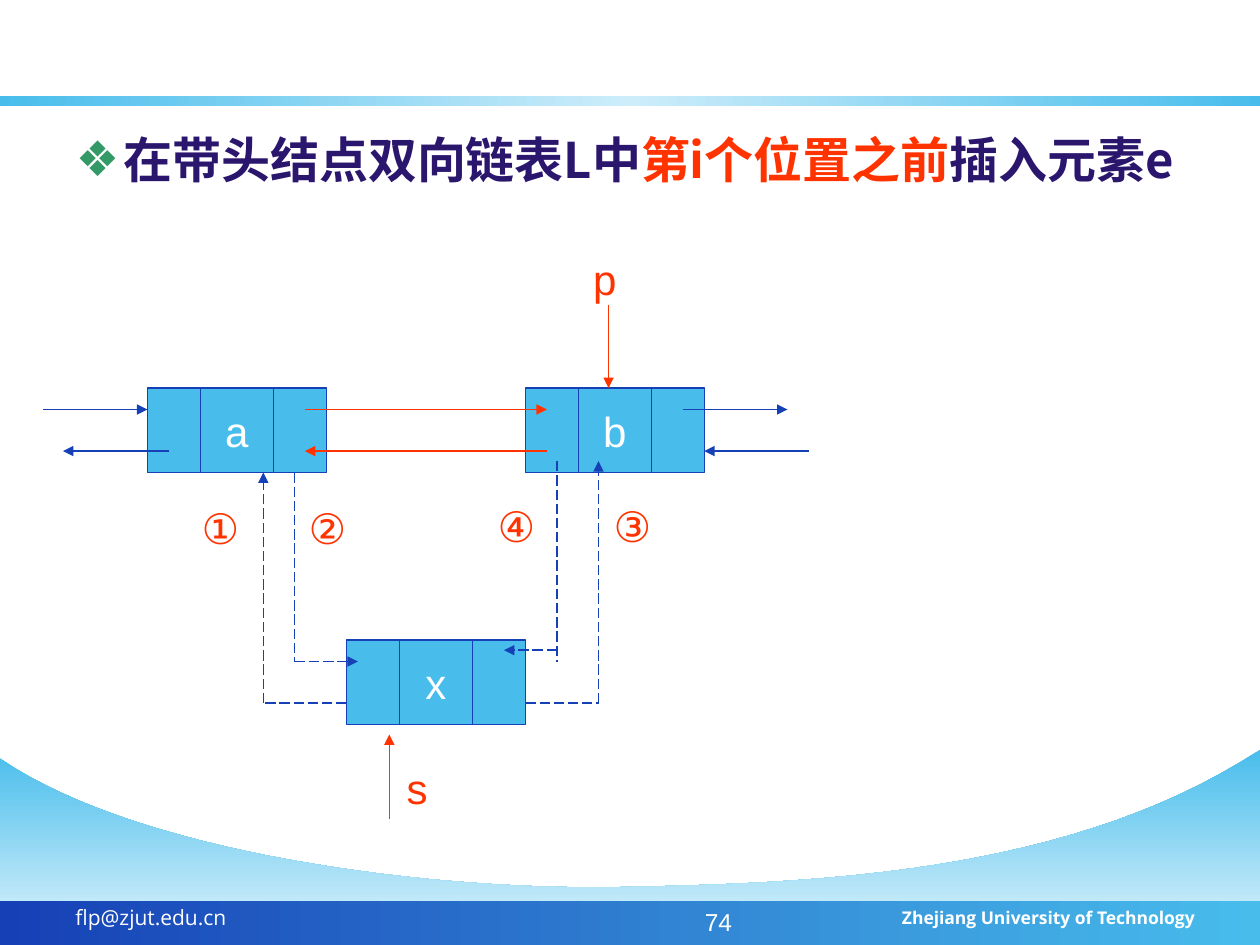
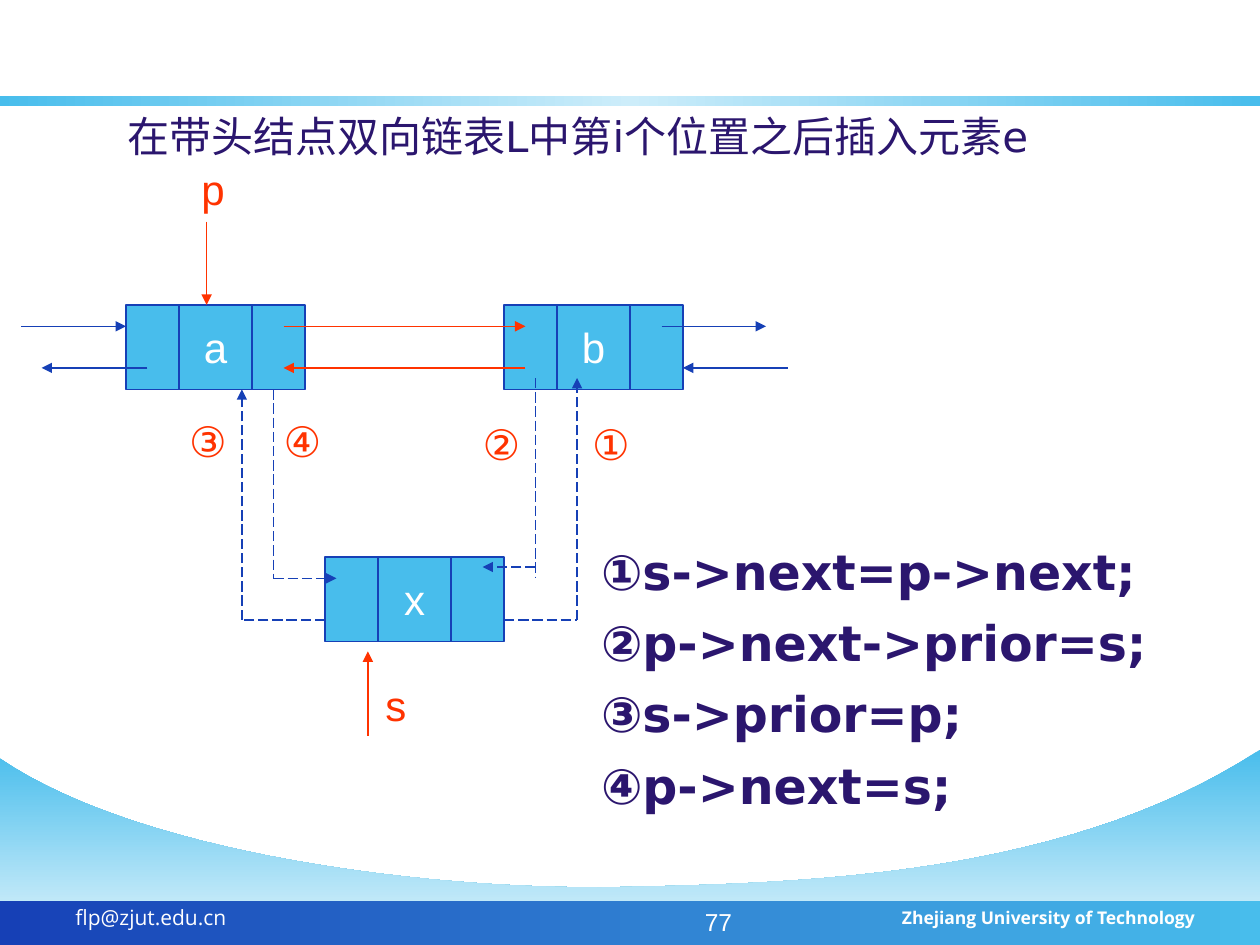
from dataclasses import dataclass
from typing import Any, NamedTuple

from lxml.etree import SubElement
from pptx import Presentation
from pptx.dml.color import RGBColor
from pptx.enum.dml import MSO_LINE
from pptx.enum.shapes import MSO_CONNECTOR as Link, MSO_SHAPE as Preset
from pptx.enum.text import MSO_ANCHOR as Anchor, MSO_AUTO_SIZE as Fit, PP_ALIGN as Align
from pptx.oxml.ns import qn
from pptx.util import Inches, Pt


# Theme
@dataclass(frozen=True)
class Theme:
    sky: str = "48BDEC"
    pale: str = "E3F5FC"
    mist: str = "CDEDFA"
    blue: str = "1640B6"
    red: str = "FF3300"
    navy: str = "2B166E"
    green: str = "339966"
    white: str = "FFFFFF"
    plain: str = "Arial"
    footer: str = "Open Sans"
    chinese: str = "Noto Sans CJK SC"
    code: str = "DejaVu Sans"
    body_size: int = 28
    label_size: int = 24
    number_size: int = 14
    mail_size: int = 12
    school_size: int = 10
    line_width: float = 0.75


THEME = Theme()
BODY = dict(size=THEME.body_size, bold=True)
LABEL = dict(name=THEME.plain, size=THEME.label_size)
PADDING = dict(margin_left=0.1, margin_right=0.1, margin_top=0.05, margin_bottom=0.05)


class Spot(NamedTuple):
    text: str
    left: float
    top: float
    width: float = 0.5


class Wire(NamedTuple):
    start: tuple[float, float]
    end: tuple[float, float]
    color: str = THEME.blue
    dashed: bool = False
    arrow: bool = True


@dataclass(frozen=True)
class Diagram:
    left: float
    top: float
    pointer: Spot
    pointer_x: float
    marks: tuple[Spot, ...]


# Linked list geometry, measured from the top left corner of node a
NODE_WIDTH, NODE_HEIGHT = 1.42, 0.67
NODES = (Spot("a", 0, 0), Spot("b", 3, 0), Spot("x", 1.58, 2))
DIVIDERS = (0.42, 1.0)
NEXT_Y, PRIOR_Y = 0.17, 0.5
WIRES = (
    Wire((1.25, NEXT_Y), (3.17, NEXT_Y), THEME.red),
    Wire((3.17, PRIOR_Y), (1.25, PRIOR_Y), THEME.red),
    Wire((-0.83, NEXT_Y), (0, NEXT_Y)),
    Wire((0.17, PRIOR_Y), (-0.67, PRIOR_Y)),
    Wire((4.25, NEXT_Y), (5.08, NEXT_Y)),
    Wire((5.25, PRIOR_Y), (4.42, PRIOR_Y)),
    Wire((3, 2.5), (3.58, 2.5), dashed=True, arrow=False),
    Wire((3.58, 2.5), (3.58, 0.58), dashed=True),
    Wire((3.25, 0.58), (3.25, 2.17), dashed=True, arrow=False),
    Wire((3.25, 2.08), (2.83, 2.08), dashed=True),
    Wire((1.58, 2.5), (0.92, 2.5), dashed=True, arrow=False),
    Wire((0.92, 2.5), (0.92, 0.67), dashed=True),
    Wire((1.17, 0.67), (1.17, 2.17), dashed=True, arrow=False),
    Wire((1.17, 2.17), (1.67, 2.17), dashed=True),
    Wire((1.92, 3.42), (1.92, 2.75), THEME.red),
)
S_LABEL = Spot("s", 1.96, 2.92, 0.36)

INSERT_BEFORE = Diagram(
    1.17, 3.08, Spot("p", 3.44, -1.12, 0.38), 3.66,
    (Spot("①", 0.33, 0.86), Spot("②", 1.18, 0.86), Spot("③", 3.6, 0.84), Spot("④", 2.68, 0.84)))
INSERT_AFTER = Diagram(
    1, 2.42, Spot("p", 0.5, -1.17, 0.38), 0.64,
    (Spot("①", 3.6, 0.85), Spot("②", 2.73, 0.85), Spot("③", 0.4, 0.83), Spot("④", 1.15, 0.83)))


# Formatting helpers
def place(shape: Any, left: float, top: float, width: float, height: float) -> None:
    for key, value in dict(left=left, top=top, width=width, height=height).items():
        setattr(shape, key, Inches(value))


def set_up_frame(shape: Any, **settings: Any) -> Any:
    frame = shape.text_frame
    for key, value in PADDING.items():
        setattr(frame, key, Inches(value))
    for key, value in settings.items():
        setattr(frame, key, value)
    return frame


def add_span(para: Any, text: str, color: str, **font: Any) -> None:
    span = para.add_run()
    span.text = text
    for key, value in font.items():
        setattr(span.font, key, Pt(value) if key == "size" else value)
    span.font.color.rgb = RGBColor.from_string(color)
    SubElement(span.font._element, qn("a:ea"), typeface=font["name"])


def set_hanging(para: Any, bullet: str = "") -> None:
    props = para._p.get_or_add_pPr()
    props.set("marL", str(Inches(0.38)))
    props.set("indent", str(-Inches(0.38)))
    if bullet:
        tint = SubElement(props, qn("a:buClr"))
        SubElement(tint, qn("a:srgbClr"), val=THEME.green)
        SubElement(props, qn("a:buChar"), char=bullet)
    else:
        SubElement(props, qn("a:buNone"))


def fill_gradient(shape: Any, angle: int, *colors: str) -> None:
    shape.shadow.inherit = False
    shape.line.fill.background()
    shape.fill.gradient()
    gradient = shape._element.spPr.find(qn("a:gradFill"))
    stops = gradient.find(qn("a:gsLst"))
    for stop in list(stops):
        stops.remove(stop)
    for index, color in enumerate(colors):
        position = 100000 * index // (len(colors) - 1)
        stop = SubElement(stops, qn("a:gs"), pos=str(position))
        SubElement(stop, qn("a:srgbClr"), val=color)
    gradient.find(qn("a:lin")).set("ang", str(angle * 60000))


# Drawing helpers
def add_text(page: Any, spot: Spot, color: str, height: float = 0.5,
             align: Align = Align.CENTER, wrap: bool = False, **font: Any) -> None:
    box = page.shapes.add_textbox(*map(Inches, (spot.left, spot.top, spot.width, height)))
    frame = set_up_frame(box, word_wrap=wrap, auto_size=Fit.NONE if wrap else Fit.SHAPE_TO_FIT_TEXT)
    para = frame.paragraphs[0]
    para.alignment = align
    add_span(para, spot.text, color, **font)


def add_wire(page: Any, wire: Wire, left: float, top: float) -> None:
    (x1, y1), (x2, y2) = wire.start, wire.end
    ends = map(Inches, (left + x1, top + y1, left + x2, top + y2))
    line = page.shapes.add_connector(Link.STRAIGHT, *ends)
    line.line.color.rgb = RGBColor.from_string(wire.color)
    line.line.width = Pt(THEME.line_width)
    if wire.dashed:
        line.line.dash_style = MSO_LINE.LONG_DASH
    if wire.arrow:
        SubElement(line.line._get_or_add_ln(), qn("a:tailEnd"), type="triangle")
    SubElement(line._element.spPr, qn("a:effectLst"))


def add_node(page: Any, name: str, left: float, top: float) -> None:
    box = page.shapes.add_shape(Preset.RECTANGLE, *map(Inches, (left, top, NODE_WIDTH, NODE_HEIGHT)))
    box.shadow.inherit = False
    box.fill.solid()
    box.fill.fore_color.rgb = RGBColor.from_string(THEME.sky)
    box.line.color.rgb = RGBColor.from_string(THEME.blue)
    box.line.width = Pt(THEME.line_width)
    frame = set_up_frame(box, word_wrap=False, vertical_anchor=Anchor.MIDDLE)
    frame.paragraphs[0].alignment = Align.CENTER
    add_span(frame.paragraphs[0], name, THEME.white, **LABEL)
    for x in DIVIDERS:
        add_wire(page, Wire((x, 0), (x, NODE_HEIGHT), arrow=False), left, top)


def add_diagram(page: Any, diagram: Diagram) -> None:
    left, top = diagram.left, diagram.top
    for node in NODES:
        add_node(page, node.text, left + node.left, top + node.top)
    pointer_wire = Wire((diagram.pointer_x, -0.66), (diagram.pointer_x, 0), THEME.red)
    for wire in (*WIRES, pointer_wire):
        add_wire(page, wire, left, top)
    for spot in (diagram.pointer, *diagram.marks, S_LABEL):
        moved = spot._replace(left=left + spot.left, top=top + spot.top)
        add_text(page, moved, THEME.red, **LABEL)


# Wave, bands and footer shared by the slides
def curve(points: tuple, steps: int = 30) -> list[tuple[float, float]]:
    def at(t: float, axis: int) -> float:
        a, b, c, d = (point[axis] for point in points)
        u = 1 - t
        return u**3 * a + 3 * u * u * t * b + 3 * u * t * t * c + t**3 * d
    return [(at(i / steps, 0), at(i / steps, 1)) for i in range(1, steps + 1)]


def add_backdrop(page: Any, number: int) -> None:
    low = (4.92, 7.04)
    outline = [(10, 5.95),
               *curve(((10, 5.95), (8.49, 6.95), (6.42, 7.01), low)),
               *curve((low, (3.42, 7.07), (1.11, 6.78), (0, 6.02))),
               (0, 7.5)]
    builder = page.shapes.build_freeform(Inches(10), Inches(7.49))
    builder.add_line_segments([(Inches(x), Inches(y)) for x, y in outline])
    fill_gradient(builder.convert_to_shape(), 90, THEME.sky, THEME.pale)
    for top, height, colors in ((7.15, 0.36, (THEME.sky, THEME.blue)),
                                (0.76, 0.08, (THEME.sky, THEME.mist, THEME.sky))):
        band = page.shapes.add_shape(Preset.RECTANGLE, *map(Inches, (0, top, 10, height)))
        fill_gradient(band, 180, *colors)
    footers = (
        (Spot("flp@zjut.edu.cn", 0.5, 7.13, 2.33), Align.LEFT,
         dict(name=THEME.footer, size=THEME.mail_size)),
        (Spot("Zhejiang University of Technology", 6.5, 7.15, 3.08), Align.RIGHT,
         dict(name=THEME.footer, size=THEME.school_size, bold=True)),
        (Spot(str(number), 3.58, 7.15, 2.33), Align.RIGHT,
         dict(name=THEME.plain, size=THEME.number_size)),
    )
    for spot, align, font in footers:
        add_text(page, spot, THEME.white, 0.35, align, True, **font)


def add_page(deck: Any, number: int) -> Any:
    page = deck.slides.add_slide(deck.slide_layouts[1])
    add_backdrop(page, number)
    return page


# Slides
def build_insert_before(deck: Any) -> None:
    page = add_page(deck, 74)
    title, body = page.placeholders
    title._element.getparent().remove(title._element)
    place(body, 0.5, 0.98, 9, 5.74)
    para = set_up_frame(body, auto_size=Fit.NONE).paragraphs[0]
    set_hanging(para, "❖")
    para.space_before = Pt(0)
    for text, color in (("在带头结点双向链表L中", THEME.navy),
                        ("第i个位置之前", THEME.red), ("插入元素e", THEME.navy)):
        add_span(para, text, color, name=THEME.chinese, **BODY)
    add_diagram(page, INSERT_BEFORE)


def build_insert_after(deck: Any) -> None:
    page = add_page(deck, 77)
    title, body = page.placeholders
    place(title, 0.67, 0.83, 7.83, 0.5)
    heading = set_up_frame(title, auto_size=Fit.NONE, vertical_anchor=Anchor.TOP).paragraphs[0]
    heading.alignment = Align.CENTER
    add_span(heading, "在带头结点双向链表L中第i个位置之后插入元素e", THEME.navy,
             name=THEME.code, size=THEME.label_size)
    place(body, 4.67, 4.25, 5.17, 2.81)
    frame = set_up_frame(body, auto_size=Fit.NONE)
    steps = ("①s->next=p->next;", "②p->next->prior=s;", "③s->prior=p;", "④p->next=s;")
    for index, step in enumerate(steps):
        para = frame.add_paragraph() if index else frame.paragraphs[0]
        set_hanging(para)
        para.space_before = Pt(7 if index else 0)
        add_span(para, step, THEME.navy, name=THEME.code, **BODY)
    add_diagram(page, INSERT_AFTER)


def main() -> None:
    deck = Presentation()
    deck.slide_width, deck.slide_height = Inches(10), Inches(7.5)
    build_insert_before(deck)
    build_insert_after(deck)
    deck.save("out.pptx")


if __name__ == "__main__":
    main()
